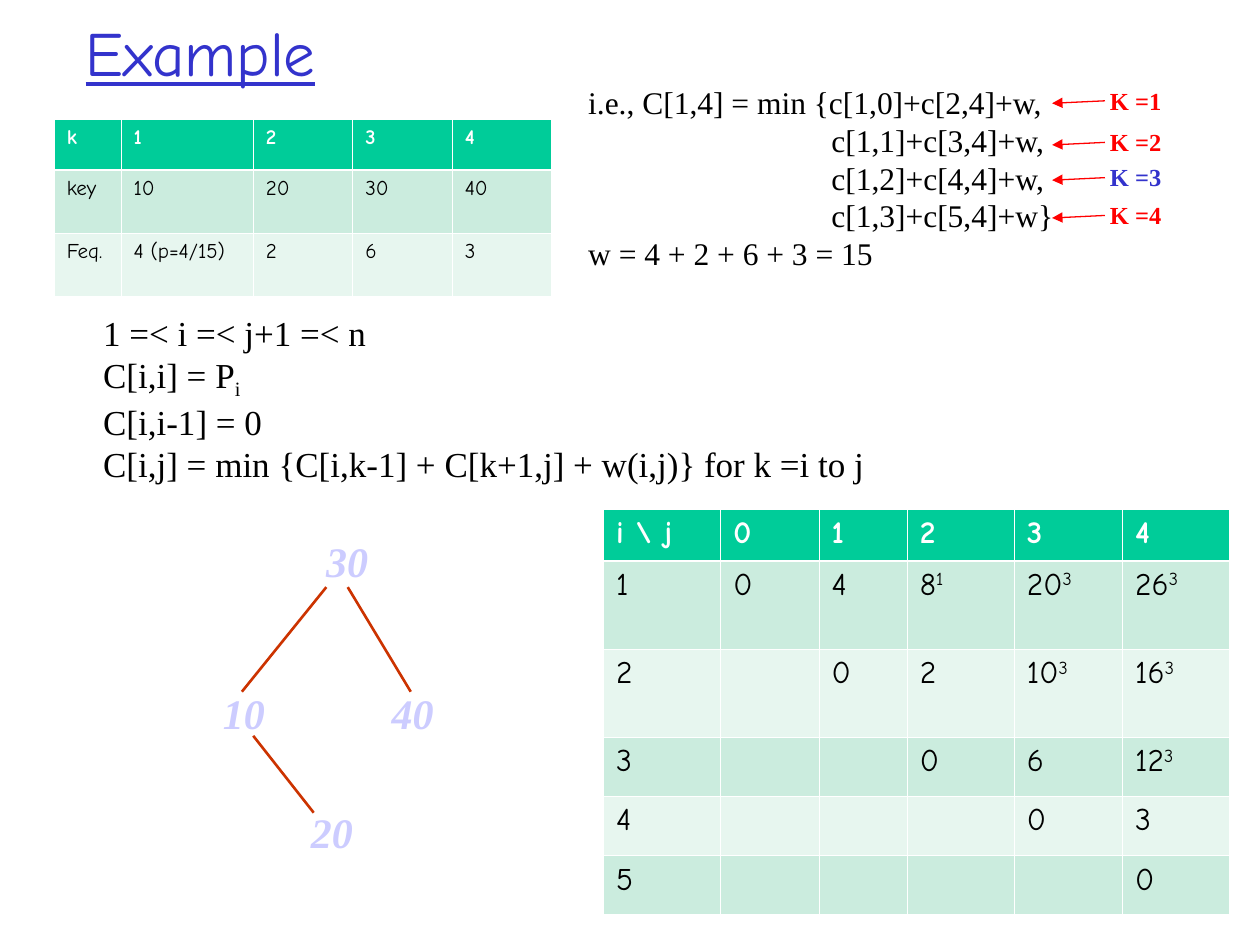
from lxml import etree
from pptx import Presentation
from pptx.dml.color import RGBColor
from pptx.enum import shapes, text
from pptx.oxml import ns
from pptx.util import Inches, Pt

COLORS = {"blue": "3333CC", "green": "00CC99", "mint": "CBECDE", "pale": "E7F6EF",
          "white": "FFFFFF", "black": "000000", "brown": "CC3300",
          "lilac": "CCCCFF", "red": "FF0000"}
SERIF, HAND = "Times New Roman", "Comic Neue"


def write(p, content, size, font, color, bold=False, italic=False):
    """Fill a paragraph; '^' starts a superscript and '_' a subscript."""
    for mark, baseline in (("^", "30000"), ("_", "-25000")):
        if mark in content:
            base, script = content.split(mark)
            p.add_run().text = base
            r = p.add_run()
            r.text = script
            r.font._element.set("baseline", baseline)
            break
    else:
        if content:
            p.add_run().text = content
    f = p.font
    f.size, f.name, f.bold, f.italic = Pt(size), font, bold, italic
    f.color.rgb = RGBColor.from_string(COLORS[color])


def add_line(start, end, color, width):
    line = s.shapes.add_connector(shapes.MSO_CONNECTOR.STRAIGHT,
                                  *(Inches(v) for v in start + end))
    line.line.color.rgb = RGBColor.from_string(COLORS[color])
    line.line.width = Pt(width)
    etree.SubElement(line._element.spPr, ns.qn("a:effectLst"))
    return line


prs = Presentation()
prs.slide_width, prs.slide_height = Inches(10), Inches(7.5)
s = prs.slides.add_slide(prs.slide_layouts[5])

title = s.shapes.title
title.left, title.top = Inches(0.58), Inches(0.2)
title.width, title.height = Inches(9.17), Inches(0.41)
title.text_frame.vertical_anchor = text.MSO_ANCHOR.MIDDLE
p = title.text_frame.paragraphs[0]
p.alignment = text.PP_ALIGN.LEFT
write(p, "Example", 36, HAND, "blue")
p.font.underline = True

# Tables: left, top, column widths, row heights, text size, rows
tables = [
    (0.43, 0.95, [0.53, 1.05, 0.79, 0.79, 0.79], [0.4, 0.5, 0.5], 12,
     [["k", "1", "2", "3", "4"],
      ["key", "10", "20", "30", "40"],
      ["Feq.", "4 (p=4/15)", "2", "6", "3"]]),
    (4.79, 4.04, [0.93, 0.78, 0.7, 0.85, 0.86, 0.85],
     [0.41, 0.7, 0.7, 0.47, 0.47, 0.47], 18,
     [["i \\ j", "0", "1", "2", "3", "4"],
      ["1", "0", "4", "8^1", "20^3", "26^3"],
      ["2", "", "0", "2", "10^3", "16^3"],
      ["3", "", "", "0", "6", "12^3"],
      ["4", "", "", "", "0", "3"],
      ["5", "", "", "", "", "0"]]),
]
for left, top, widths, heights, size, rows in tables:
    table = s.shapes.add_table(len(rows), len(widths), Inches(left), Inches(top),
                               Inches(sum(widths)), Inches(sum(heights))).table
    for column, width in zip(table.columns, widths):
        column.width = Inches(width)
    for i, (row, height) in enumerate(zip(rows, heights)):
        table.rows[i].height = Inches(height)
        fill = "green" if i == 0 else "mint" if i % 2 else "pale"
        for j, content in enumerate(row):
            cell = table.cell(i, j)
            write(cell.text_frame.paragraphs[0], content, size, HAND,
                  "black" if i else "white", bold=i == 0)
            tcPr = cell._tc.get_or_add_tcPr()
            for side in ("lnL", "lnR", "lnT", "lnB"):
                thick = (i, side) in ((0, "lnB"), (1, "lnT"))
                ln = etree.SubElement(tcPr, ns.qn("a:" + side),
                                      w=str(Pt(1.47 if thick else 0.45)))
                solid = etree.SubElement(ln, ns.qn("a:solidFill"))
                etree.SubElement(solid, ns.qn("a:srgbClr"), val=COLORS["white"])
            cell.fill.solid()
            cell.fill.fore_color.rgb = RGBColor.from_string(COLORS[fill])

# Search tree
for start, end in [((2.59, 4.66), (1.92, 5.49)), ((2.76, 4.66), (3.26, 5.49)),
                   ((2.49, 6.45), (2.01, 5.84))]:
    add_line(start, end, "brown", 1.5)

# Text boxes: left, top, width, height, size, colour, bold, italic, lines
boxes = [(left, top, 0.66, 0.5, 24, "lilac", True, True, [key])
         for left, top, key in [(2.49, 4.2, "30"), (1.67, 5.41, "10"),
                                (3.01, 5.41, "40"), (2.37, 6.35, "20")]]
boxes += [
    (0.72, 2.42, 8.9, 1.48, 20, "black", False, False,
     ["1 =< i =< j+1 =< n", "C[i,i] = P_i", "C[i,i-1] = 0",
      "C[i,j] = min {C[i,k-1] + C[k+1,j] + w(i,j)} for k =i to j"]),
    (4.57, 0.61, 3.94, 1.6, 18, "black", False, False,
     ["i.e., C[1,4] = min {c[1,0]+c[2,4]+w,", "c[1,1]+c[3,4]+w,",
      "c[1,2]+c[4,4]+w,", "c[1,3]+c[5,4]+w}", "w = 4 + 2 + 6 + 3 = 15"]),
]
for k, y in enumerate([0.8, 1.13, 1.41, 1.71], start=1):
    arrow = add_line((8.77, y), (8.35, y + 0.02), "red", 0.75)
    etree.SubElement(arrow.line._get_or_add_ln(), ns.qn("a:tailEnd"), type="triangle")
    boxes.append((8.71, y - 0.17, 0.61, 0.34, 14, "blue" if k == 3 else "red",
                  True, False, [f"K ={k}"]))

for left, top, width, height, size, color, bold, italic, lines in boxes:
    tf = s.shapes.add_textbox(Inches(left), Inches(top),
                              Inches(width), Inches(height)).text_frame
    tf.word_wrap = len(lines) > 1
    for i, content in enumerate(lines):
        p = tf.paragraphs[0] if i == 0 else tf.add_paragraph()
        if content.startswith("c["):  # terms of the minimum line up after the brace
            p._p.get_or_add_pPr().set("marL", str(Inches(1.93)))
        write(p, content, size, SERIF, color, bold, italic)

prs.save("out.pptx")
